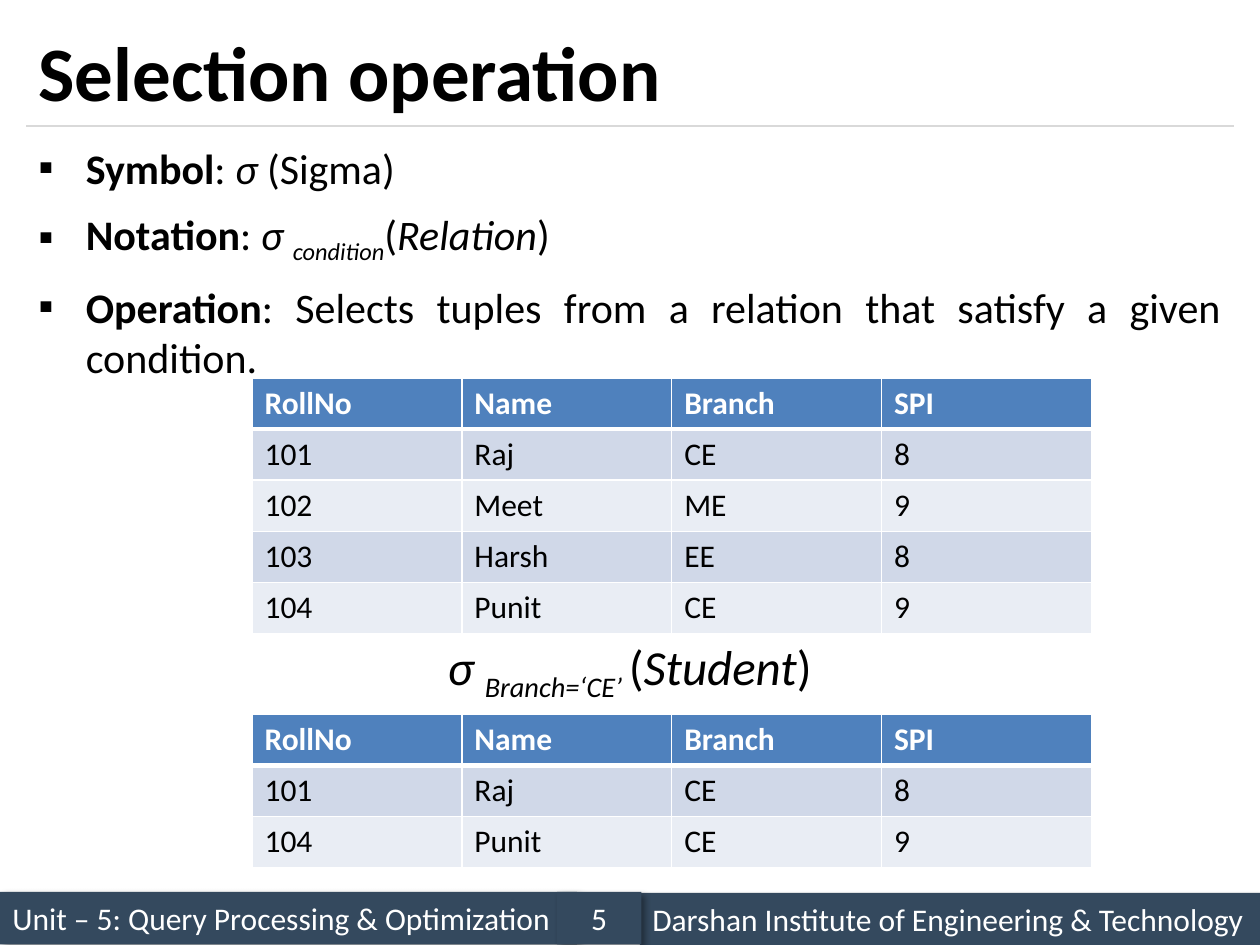
from lxml import etree
from pptx import Presentation
from pptx import util as u
from pptx.dml.color import RGBColor
from pptx.enum import shapes, text
from pptx.oxml import parse_xml
from pptx.oxml.ns import nsdecls, qn

FONT = "Calibri"
BLACK, WHITE = "000000", "FFFFFF"
FOOTER_FILL, RULE = "34495E", "D9D9D9"
HEADER_FILL, BANDS = "4F81BD", ("D0D8E8", "E9EDF4")
MARGIN, CONTENT_WIDTH = 0.53, 24.34
COLUMN_WIDTH, ROW_HEIGHT = 4.23, 1.03

COLUMNS = ("RollNo", "Name", "Branch", "SPI")
STUDENTS = (
    ("101", "Raj", "CE", "8"),
    ("102", "Meet", "ME", "9"),
    ("103", "Harsh", "EE", "8"),
    ("104", "Punit", "CE", "9"),
)
BOLD, ITALIC, SUB = {"bold": True}, {"italic": True}, {"italic": True, "baseline": -25}
BULLETS = (
    (("Symbol", BOLD), (": ", {}), ("σ ", ITALIC), ("(Sigma)", {})),
    (("Notation", BOLD), (": ", {}), ("σ ", ITALIC), ("condition", SUB),
     ("(", {}), ("Relation", ITALIC), (")", {})),
    (("Operation", BOLD),
     (": Selects tuples from a relation that satisfy a given condition.", {})),
)
EXPRESSION = (("σ ", ITALIC), ("Branch=‘CE’ ", SUB), ("(", {}),
              ("Student", ITALIC), (")", {}))


def color(hex_string):
    return RGBColor.from_string(hex_string)


def write(paragraph, words, size=18, fill=BLACK, bold=False, italic=False, baseline=0):
    """Append one run; baseline is a percentage, negative for subscript."""
    run = paragraph.add_run()
    run.text = words
    font = run.font
    font.name, font.size, font.bold, font.italic = FONT, u.Pt(size), bold, italic
    font.color.rgb = color(fill)
    if baseline:
        run._r.get_or_add_rPr().set("baseline", str(baseline * 1000))


def write_all(paragraph, runs, size):
    for words, style in runs:
        write(paragraph, words, size=size, **style)


def add_frame(slide, left, top, width, height, anchor=text.MSO_ANCHOR.TOP):
    box = slide.shapes.add_textbox(u.Cm(left), u.Cm(top), u.Cm(width), u.Cm(height))
    frame = box.text_frame
    frame.word_wrap = True
    frame.vertical_anchor = anchor
    return frame


def add_shadow(shape):
    shape._element.spPr.append(parse_xml(
        f'<a:effectLst {nsdecls("a")}>'
        f'<a:outerShdw blurRad="{u.Pt(4)}" dist="{u.Pt(3)}" dir="2700000" algn="tl" '
        'rotWithShape="0"><a:srgbClr val="000000"><a:alpha val="40000"/></a:srgbClr>'
        '</a:outerShdw></a:effectLst>'))


def add_footer_panel(slide, left, top, width, words, align=text.PP_ALIGN.LEFT):
    panel = slide.shapes.add_shape(shapes.MSO_SHAPE.RECTANGLE, u.Cm(left), u.Cm(top),
                                   u.Cm(width), u.Cm(1.06))
    panel.fill.solid()
    panel.fill.fore_color.rgb = color(FOOTER_FILL)
    panel.line.fill.background()
    add_shadow(panel)
    frame = panel.text_frame
    frame.word_wrap = True
    frame.vertical_anchor = text.MSO_ANCHOR.MIDDLE
    paragraph = frame.paragraphs[0]
    paragraph.alignment = align
    write(paragraph, words, fill=WHITE)


def add_rule(slide, top):
    rule = slide.shapes.add_connector(
        shapes.MSO_CONNECTOR.STRAIGHT, u.Cm(MARGIN), u.Cm(top),
        u.Cm(MARGIN + CONTENT_WIDTH), u.Cm(top))
    rule.line.color.rgb = color(RULE)
    rule.line.width = u.Pt(0.75)
    etree.SubElement(rule._element.spPr, qn("a:effectLst"))


def add_bullets(slide, top, height):
    frame = add_frame(slide, MARGIN, top, CONTENT_WIDTH, height)
    for index, runs in enumerate(BULLETS):
        paragraph = frame.add_paragraph() if index else frame.paragraphs[0]
        properties = paragraph._p.get_or_add_pPr()
        properties.set("marL", str(u.Cm(0.95)))
        properties.set("indent", str(-u.Cm(0.95)))
        etree.SubElement(properties, qn("a:buFont"), typeface="Wingdings")
        properties[-1].set("typeface", FONT)
        etree.SubElement(properties, qn("a:buChar"), char="▪")
        if index:
            paragraph.space_before = u.Pt(9)
        write_all(paragraph, runs, size=24)
    paragraph.alignment = text.PP_ALIGN.JUSTIFY


def set_borders(cell, top=1, bottom=1):
    widths = {"lnL": 1, "lnR": 1, "lnT": top, "lnB": bottom}
    for side, width in widths.items():
        cell._tc.get_or_add_tcPr().append(parse_xml(
            f'<a:{side} {nsdecls("a")} w="{u.Pt(width)}"><a:solidFill>'
            f'<a:srgbClr val="{WHITE}"/></a:solidFill></a:{side}>'))


def add_student_table(slide, top, students):
    rows = (COLUMNS, *students)
    table = slide.shapes.add_table(
        len(rows), len(COLUMNS), u.Cm(5.08), u.Cm(top),
        u.Cm(COLUMN_WIDTH * len(COLUMNS)), u.Cm(ROW_HEIGHT * len(rows))).table
    for column in table.columns:
        column.width = u.Cm(COLUMN_WIDTH)
    for r, values in enumerate(rows):
        header = r == 0
        table.rows[r].height = u.Cm(ROW_HEIGHT)
        for c, value in enumerate(values):
            cell = table.cell(r, c)
            set_borders(cell, top=3 if r == 1 else 1, bottom=3 if header else 1)
            cell.fill.solid()
            cell.fill.fore_color.rgb = color(HEADER_FILL if header else BANDS[(r - 1) % 2])
            write(cell.text_frame.paragraphs[0], value,
                  fill=WHITE if header else BLACK, bold=header)


def main():
    deck = Presentation()
    deck.slide_width, deck.slide_height = u.Cm(25.4), u.Cm(19.05)
    slide = deck.slides.add_slide(deck.slide_layouts[6])

    add_footer_panel(slide, 0, 17.98, 11.63, "Unit – 5: Query Processing & Optimization")
    add_rule(slide, 2.54)
    add_footer_panel(slide, 12.9, 18, 12.5, "Darshan Institute of Engineering & Technology")
    add_footer_panel(slide, 11.23, 17.98, 1.7, "5", align=text.PP_ALIGN.CENTER)

    title = add_frame(slide, MARGIN, 0.3, CONTENT_WIDTH, 2.24, text.MSO_ANCHOR.MIDDLE)
    write(title.paragraphs[0], "Selection operation", size=44, bold=True)
    add_bullets(slide, 2.74, 14.81)

    expression = add_frame(slide, 4.02, 12.7, 17.35, 1.45)
    expression.auto_size = text.MSO_AUTO_SIZE.SHAPE_TO_FIT_TEXT
    expression.paragraphs[0].alignment = text.PP_ALIGN.CENTER
    write_all(expression.paragraphs[0], EXPRESSION, size=28)

    add_student_table(slide, 7.62, STUDENTS)
    add_student_table(slide, 14.4, [row for row in STUDENTS if row[2] == "CE"])
    deck.save("out.pptx")


if __name__ == "__main__":
    main()
